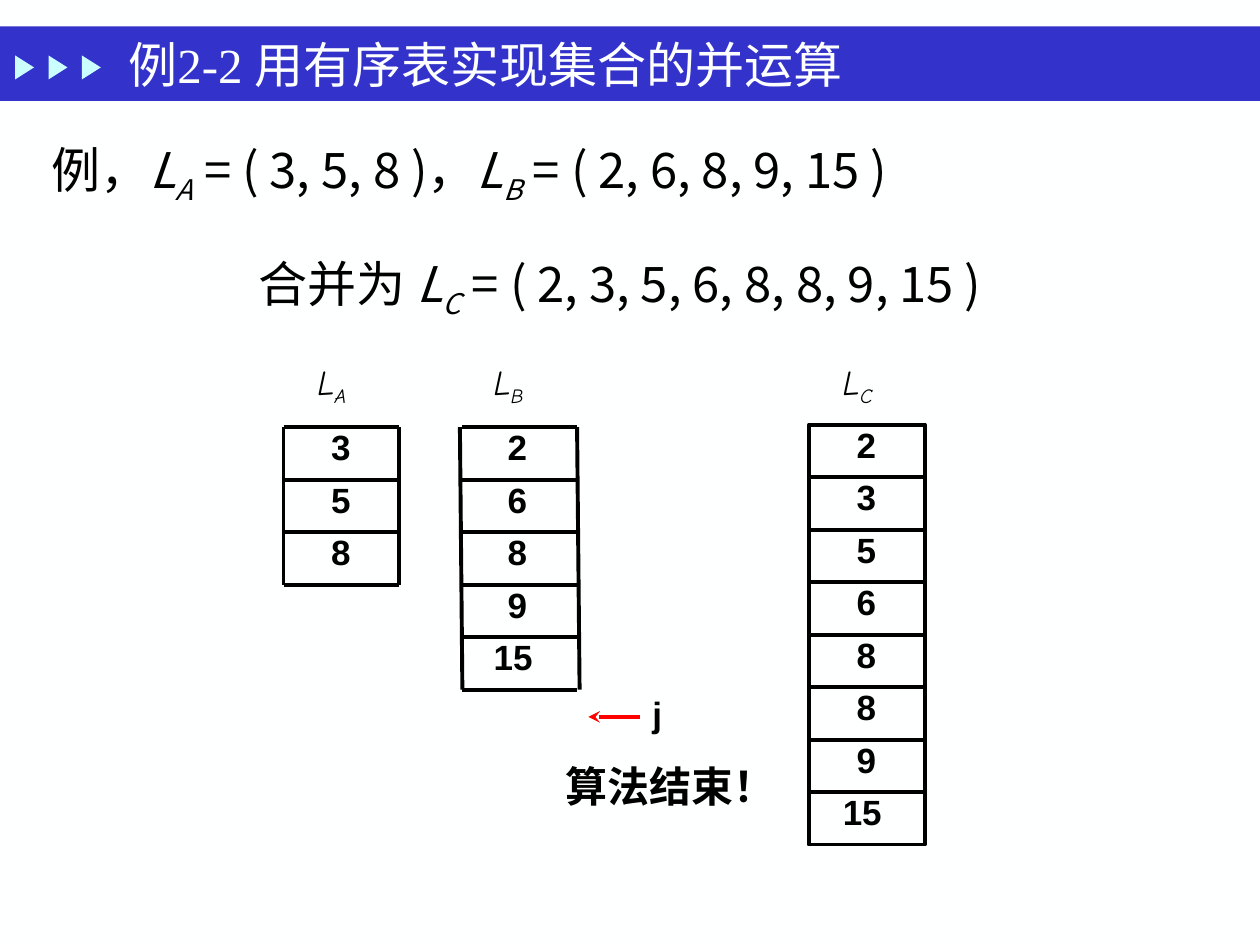
from pptx import Presentation
from pptx.dml.color import RGBColor
from pptx.enum import shapes, text
from pptx.oxml import parse_xml
from pptx.oxml.ns import nsdecls
from pptx.util import Inches, Pt

COLORS = {"paper": "FEFFFF", "band": "3333CC", "marker": "CBFFFF",
          "ink": "000000", "pointer": "FF0000"}
CJK_FONT = "Noto Sans CJK SC"
ROW_HEIGHT = Inches(5) // 12
LABEL_TOP = Inches(2.81)


def color(name):
    return RGBColor.from_string(COLORS[name])


def format_run(run, size, font, ink="ink", bold=None, italic=None):
    run.font.size = Pt(size)
    run.font.name = font
    run.font.bold = bold
    run.font.italic = italic
    run.font.color.rgb = color(ink)
    run.font._element.append(
        parse_xml(f'<a:ea {nsdecls("a")} typeface="{CJK_FONT}"/>'))


def add_text(slide, left, top, width, height, parts, size, font,
             bold=None, align=text.PP_ALIGN.LEFT):
    """Place text; a part given as a pair is an italic symbol and its subscript."""
    box = slide.shapes.add_textbox(left, top, width, height)
    box.text_frame.word_wrap = True
    paragraph = box.text_frame.paragraphs[0]
    paragraph.alignment = align
    for part in parts:
        is_symbol = isinstance(part, tuple)
        for index, content in enumerate(part if is_symbol else (part,)):
            run = paragraph.add_run()
            run.text = content
            format_run(run, size, font, bold=bold, italic=is_symbol or None)
            if index == 1:
                run.font._element.set("baseline", "-25000")


def add_line(slide, start, end, ink="ink", arrow=False):
    line = slide.shapes.add_connector(shapes.MSO_CONNECTOR.STRAIGHT, *start, *end)
    line.line.color.rgb = color(ink)
    line.line.width = Pt(2.25)
    if arrow:
        line.line._get_or_add_ln().append(
            parse_xml(f'<a:tailEnd {nsdecls("a")} type="stealth"/>'))
    line._element.spPr.append(parse_xml(f'<a:effectLst {nsdecls("a")}/>'))


def add_shape(slide, kind, left, top, width, height, fill=None):
    """Place a filled shape, or an outlined empty one when no fill is given."""
    shape = slide.shapes.add_shape(kind, left, top, width, height)
    shape.shadow.inherit = False
    if fill:
        shape.fill.solid()
        shape.fill.fore_color.rgb = color(fill)
        shape.line.fill.background()
    else:
        shape.fill.background()
        shape.line.color.rgb = color("ink")
        shape.line.width = Pt(2.25)
    return shape


def add_header(slide, top, width, height, title_text):
    kinds = shapes.MSO_SHAPE
    band = add_shape(slide, kinds.RECTANGLE, 0, top, width, height, "band")
    for index in range(3):
        marker = add_shape(slide, kinds.ISOSCELES_TRIANGLE,
                           Inches(0.1 + 0.265 * index), top + Inches(0.25),
                           Inches(0.19), Inches(0.15), "marker")
        marker.rotation = 90
    title = slide.shapes.title
    title.left, title.top = Inches(0.92), top + Inches(0.05)
    title.width, title.height = Inches(7), Inches(0.5)
    band._element.addprevious(title._element)
    slide.shapes._spTree.append(title._element)
    frame = title.text_frame
    frame.text = title_text
    frame.vertical_anchor = text.MSO_ANCHOR.MIDDLE
    frame.paragraphs[0].alignment = text.PP_ALIGN.LEFT
    format_run(frame.paragraphs[0].runs[0], 28, "Times New Roman", "paper")


def add_list_text(slide, left, top, name, values):
    add_text(slide, left + Inches(0.17), LABEL_TOP, Inches(1), Inches(0.44),
             [("L", name)], 20, "Comic Neue")
    for row, value in enumerate(values):
        indent = Inches(0.28 if value < 10 else 0.17)
        add_text(slide, left + indent, top + row * ROW_HEIGHT - Inches(0.06),
                 Inches(0.92), Inches(0.44), [str(value)], 20, "Arial", bold=True)


def add_ruled_list(slide, left, top, width, name, values, lean=0):
    """Draw a source list from single lines; its sides lean right by lean."""
    bottom = top + len(values) * ROW_HEIGHT
    for side in (left, left + width):
        add_line(slide, (side, top), (side + lean, bottom))
    for row in range(len(values) + 1):
        y = top + row * ROW_HEIGHT
        add_line(slide, (left + lean, y), (left + width, y))
    add_list_text(slide, left, top, name, values)


def add_boxed_list(slide, left, top, width, name, values):
    for row in range(len(values)):
        add_shape(slide, shapes.MSO_SHAPE.RECTANGLE, left,
                  top + row * ROW_HEIGHT, width, ROW_HEIGHT)
    add_list_text(slide, left, top, name, values)


def add_end_note(slide, left, top):
    arrow_y = top + Inches(0.24)
    add_line(slide, (left + Inches(0.69), arrow_y), (left + Inches(0.28), arrow_y),
             "pointer", arrow=True)
    add_text(slide, left + Inches(0.69), top, Inches(0.5), Inches(0.43),
             ["j"], 20, "Arial", bold=True)
    add_text(slide, left, top + Inches(0.54), Inches(1.7), Inches(0.51),
             ["算法结束！"], 24, "Arial", bold=True)


def main():
    presentation = Presentation()
    presentation.slide_width, presentation.slide_height = Inches(10), Inches(7.5)
    slide = presentation.slides.add_slide(presentation.slide_layouts[5])
    slide.background.fill.solid()
    slide.background.fill.fore_color.rgb = color("paper")

    add_header(slide, Inches(0.21), presentation.slide_width, Inches(0.59),
               "例2-2 用有序表实现集合的并运算")
    add_text(slide, Inches(0.31), Inches(1.06), Inches(8.75), Inches(0.57),
             ["例，", ("L", "A"), " = ( 3, 5, 8 )，", ("L", "B"),
              " = ( 2, 6, 8, 9, 15 )"], 28, CJK_FONT)
    add_text(slide, Inches(1.17), Inches(1.96), Inches(7.5), Inches(0.57),
             ["合并为 ", ("L", "C"), " = ( 2, 3, 5, 6, 8, 8, 9, 15 )"],
             28, CJK_FONT, align=text.PP_ALIGN.CENTER)

    first, second = [3, 5, 8], [2, 6, 8, 9, 15]
    add_ruled_list(slide, Inches(2.25), Inches(3.39), Inches(0.92), "A", first)
    add_ruled_list(slide, Inches(3.65), Inches(3.39), Inches(0.93), "B", second,
                   lean=Inches(0.02))
    add_boxed_list(slide, Inches(6.42), Inches(3.37), Inches(0.92), "C",
                   sorted(first + second))
    add_end_note(slide, Inches(4.39), Inches(5.45))
    presentation.save("out.pptx")


if __name__ == "__main__":
    main()
